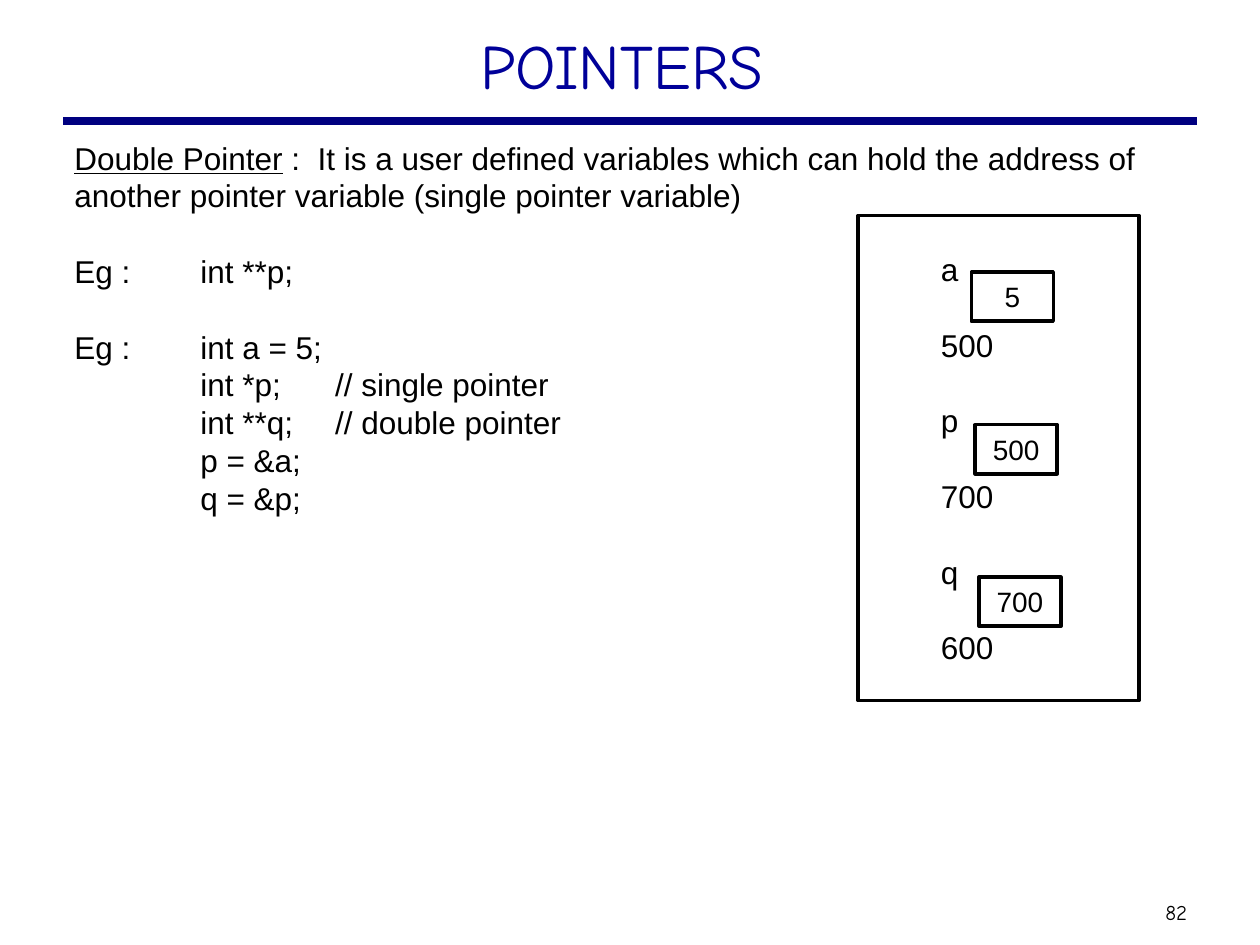
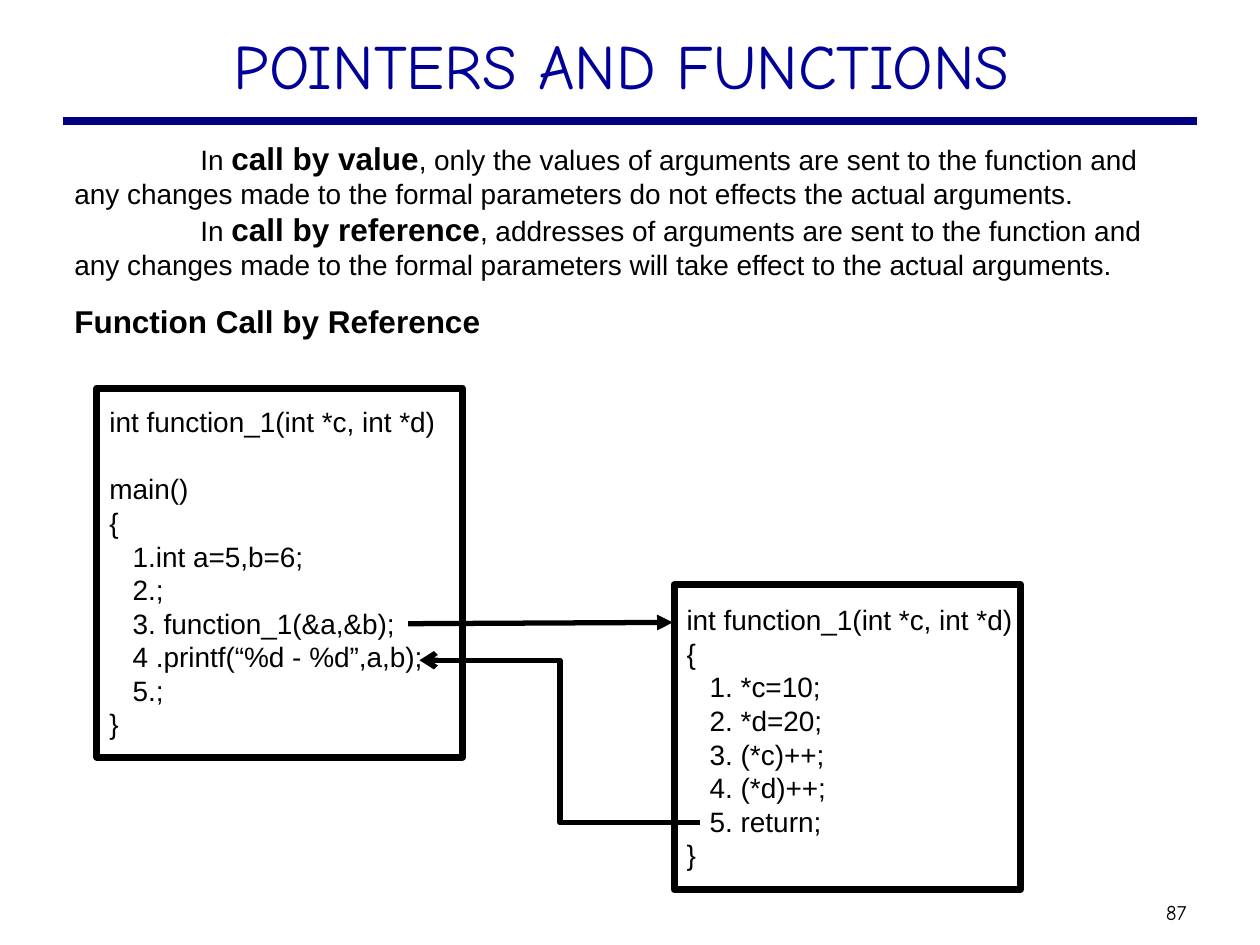
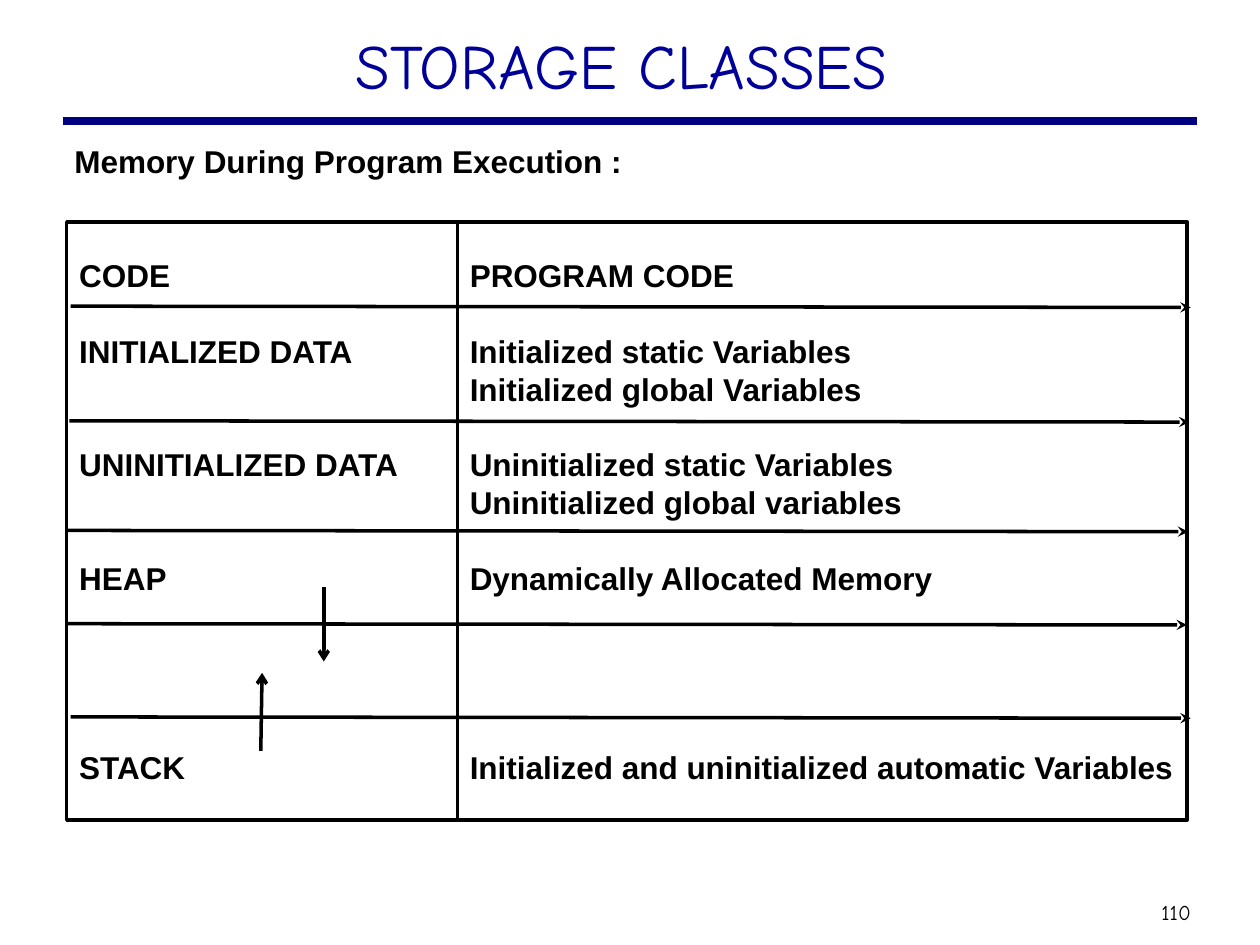
from lxml.etree import SubElement
from pptx import Presentation
from pptx.dml.color import RGBColor
from pptx.enum.shapes import MSO_CONNECTOR, MSO_SHAPE
from pptx.enum.text import MSO_ANCHOR, MSO_AUTO_SIZE, PP_ALIGN
from pptx.oxml.ns import qn
from pptx.util import Inches, Pt

COLOURS = {"ink": "000000", "title": "000099", "rule": "000080"}
TEXT_FONT = "Arial"
TITLE_FONT = "Comic Neue"
LINE_HEIGHT = 1.2
TITLE_BOX = (0.75, 0.16, 8.5, 0.76)
BODY_BOX = (0.49, 1.05, 9, 6)
NUMBER_BOX = (9.1, 7.09, 0.47, 0.3)


def colour(name):
    return RGBColor.from_string(COLOURS[name])


def place(shape, box):
    shape.left, shape.top, shape.width, shape.height = map(Inches, box)


def set_frame(frame, anchor=MSO_ANCHOR.TOP, sides=(0.1, 0.1), ends=0.05):
    frame.word_wrap = True
    frame.auto_size = MSO_AUTO_SIZE.NONE
    frame.vertical_anchor = anchor
    frame.margin_left, frame.margin_right = map(Inches, sides)
    frame.margin_top = frame.margin_bottom = Inches(ends)


def add_span(paragraph, text, size, font=TEXT_FONT, ink="ink", bold=False, underline=False):
    span = paragraph.add_run()
    span.text = text
    span.font.name = font
    span.font.size = Pt(size)
    span.font.bold = bold
    span.font.underline = underline
    span.font.color.rgb = colour(ink)


def add_paragraph(frame, gap=0, size=18, left=0, first=0, align=PP_ALIGN.LEFT):
    """Start an unbulleted paragraph; gap counts lines of the given size above it."""
    paragraph = frame.paragraphs[0]
    if paragraph.runs:
        paragraph = frame.add_paragraph()
    properties = paragraph._p.get_or_add_pPr()
    properties.set("marL", str(Inches(left)))
    properties.set("indent", str(Inches(first)))
    SubElement(properties, qn("a:buNone"))
    paragraph.alignment = align
    paragraph.space_before = Pt(round(gap * size * LINE_HEIGHT, 1))
    return paragraph


def write_lines(frame, lines, size=18, bold=False, **layout):
    """Write (gap, text) pairs, one paragraph each."""
    for gap, text in lines:
        paragraph = add_paragraph(frame, gap, size, **layout)
        add_span(paragraph, text, size, bold=bold)


def add_box(page, box, lines, size, weight=2, bold=False, right=0, **layout):
    shape = page.shapes.add_shape(MSO_SHAPE.RECTANGLE, *map(Inches, box))
    shape.shadow.inherit = False
    shape.fill.background()
    shape.line.color.rgb = colour("ink")
    shape.line.width = Pt(weight)
    set_frame(shape.text_frame, MSO_ANCHOR.MIDDLE, (0.1, right))
    write_lines(shape.text_frame, lines, size, bold, **layout)


def add_line(page, start, end, weight=2, head=None, ink="ink", kind=MSO_CONNECTOR.STRAIGHT):
    line = page.shapes.add_connector(kind, *map(Inches, (*start, *end)))
    line.line.color.rgb = colour(ink)
    line.line.width = Pt(weight)
    properties = line.element.spPr
    if head:
        SubElement(properties.find(qn("a:ln")), qn("a:tailEnd"), type=head)
    SubElement(properties, qn("a:effectLst"))


def prepare_layout(deck):
    layout = deck.slide_layouts[1]
    title, body = list(layout.placeholders)[:2]
    place(title, TITLE_BOX)
    place(body, BODY_BOX)
    return layout


def add_page(deck, layout, title, number):
    page = deck.slides.add_slide(layout)
    add_line(page, (0.5, 0.96), (9.5, 0.96), 4.5, ink="rule")
    heading = page.shapes.title.text_frame
    set_frame(heading, sides=(0.1, 0.23))
    add_span(add_paragraph(heading, align=PP_ALIGN.CENTER), title, 36, TITLE_FONT, "title")
    footer = page.shapes.add_textbox(*map(Inches, NUMBER_BOX)).text_frame
    set_frame(footer, MSO_ANCHOR.MIDDLE, (0.05, 0.05))
    add_span(add_paragraph(footer, align=PP_ALIGN.CENTER), number, 12, TITLE_FONT)
    body = page.placeholders[1].text_frame
    set_frame(body)
    return page, body


def add_memory_map(page, box):
    left, top, _, _ = box
    cells = [("a", "5", "500"), ("p", "500", "700"), ("q", "700", "600")]
    lines = []
    for index, (name, _, address) in enumerate(cells):
        lines += [(1 if index else 0, name), (1, address)]
    add_box(page, box, lines, 18, left=0.56)
    for index, (_, value, _) in enumerate(cells):
        cell = (left + 0.9 + 0.03 * index, top + 0.45 + 1.21 * index, 0.65, 0.39)
        add_box(page, cell, [(0, value)], 16, right=0.1, align=PP_ALIGN.CENTER)


def add_double_pointer(deck, layout):
    page, body = add_page(deck, layout, "POINTERS", "82")
    definition = add_paragraph(body)
    add_span(definition, "Double Pointer", 18, underline=True)
    add_span(definition, " :  It is a user defined variables which can hold the address of "
             "another pointer variable (single pointer variable)", 18)
    write_lines(body, [(1, "Eg :\tint **p;"), (1, "Eg :\tint a = 5;")], left=1, first=-1)
    write_lines(body, [
        (0, "int *p;\t // single pointer"),
        (0, "int **q;\t // double pointer"),
        (0, "p = &a;"),
        (0, "q = &p;"),
    ], left=1)
    add_memory_map(page, (6.81, 1.71, 2.23, 3.85))


def add_call_diagram(page, left, top):
    caller = [
        (0, "int function_1(int *c, int *d)"),
        (1, "main()"),
        (0, "{"),
        (0, "   1.int a=5,b=6;"),
        (0, "   2.;"),
        (0, "   3. function_1(&a,&b);"),
        (0, "   4 .printf(“%d - %d”,a,b);"),
        (0, "   5.;"),
        (0, "}"),
    ]
    callee = ["int function_1(int *c, int *d)", "{", "   1. *c=10;", "   2. *d=20;",
              "   3. (*c)++;", "   4. (*d)++;", "   5. return;", "}"]
    add_box(page, (left, top, 2.9, 2.93), caller, 16, 4)
    add_box(page, (left + 4.58, top + 1.56, 2.75, 2.42), [(0, text) for text in callee], 16, 4)
    add_line(page, (left + 2.47, top + 1.87), (left + 4.57, top + 1.86), 3, "triangle")
    add_line(page, (left + 4.79, top + 3.45), (left + 2.56, top + 2.16), 3, "arrow",
             kind=MSO_CONNECTOR.ELBOW)


def add_call_by_reference(deck, layout):
    page, body = add_page(deck, layout, "POINTERS AND FUNCTIONS", "87")
    rules = [
        ("call by value", ", only the values of arguments are sent to the function and any "
         "changes made to the formal parameters do not effects the actual arguments."),
        ("call by reference", ", addresses of arguments are sent to the function and any "
         "changes made to the formal parameters will take effect to the actual arguments."),
    ]
    for term, meaning in rules:
        paragraph = add_paragraph(body, first=1)
        add_span(paragraph, "In ", 16)
        add_span(paragraph, term, 18, bold=True)
        add_span(paragraph, meaning, 16)
    write_lines(body, [(0.54, "Function Call by Reference")], bold=True)
    add_call_diagram(page, 0.77, 3.08)


def add_memory_regions(page, box):
    left, top, width, height = box
    split = 3.1
    regions = [(0, "CODE"), (1, "INITIALIZED DATA"), (2, "UNINITIALIZED DATA"),
               (2, "HEAP"), (4, "STACK")]
    contents = [
        (0, "PROGRAM CODE"),
        (1, "Initialized static Variables"),
        (0, "Initialized global Variables"),
        (1, "Uninitialized static Variables"),
        (0, "Uninitialized global variables"),
        (1, "Dynamically Allocated Memory"),
        (4, "Initialized and uninitialized automatic Variables"),
    ]
    add_box(page, (left, top, split, height), regions, 18, bold=True)
    add_box(page, (left + split, top, width - split, height), contents, 18, bold=True)
    for shift, drop in [(0.03, 0.67), (0.02, 1.58), (0.01, 2.45), (0, 3.19), (0.03, 3.93)]:
        start = (left + shift, top + drop)
        add_line(page, start, (start[0] + 8.89, start[1] + 0.01), head="stealth")
    add_line(page, (left + 2.04, top + 2.9), (left + 2.04, top + 3.49), head="arrow")
    add_line(page, (left + 1.54, top + 4.2), (left + 1.55, top + 3.58), head="arrow")


def add_storage_classes(deck, layout):
    page, body = add_page(deck, layout, "STORAGE CLASSES", "110")
    place(page.placeholders[1], (0.49, 1.08, 9, 6))
    write_lines(body, [(0, "Memory During Program Execution :")], bold=True)
    add_memory_regions(page, (0.53, 1.76, 8.89, 4.75))


def main():
    deck = Presentation()
    deck.slide_width, deck.slide_height = Inches(10), Inches(7.5)
    layout = prepare_layout(deck)
    add_double_pointer(deck, layout)
    add_call_by_reference(deck, layout)
    add_storage_classes(deck, layout)
    deck.save("out.pptx")


if __name__ == "__main__":
    main()
